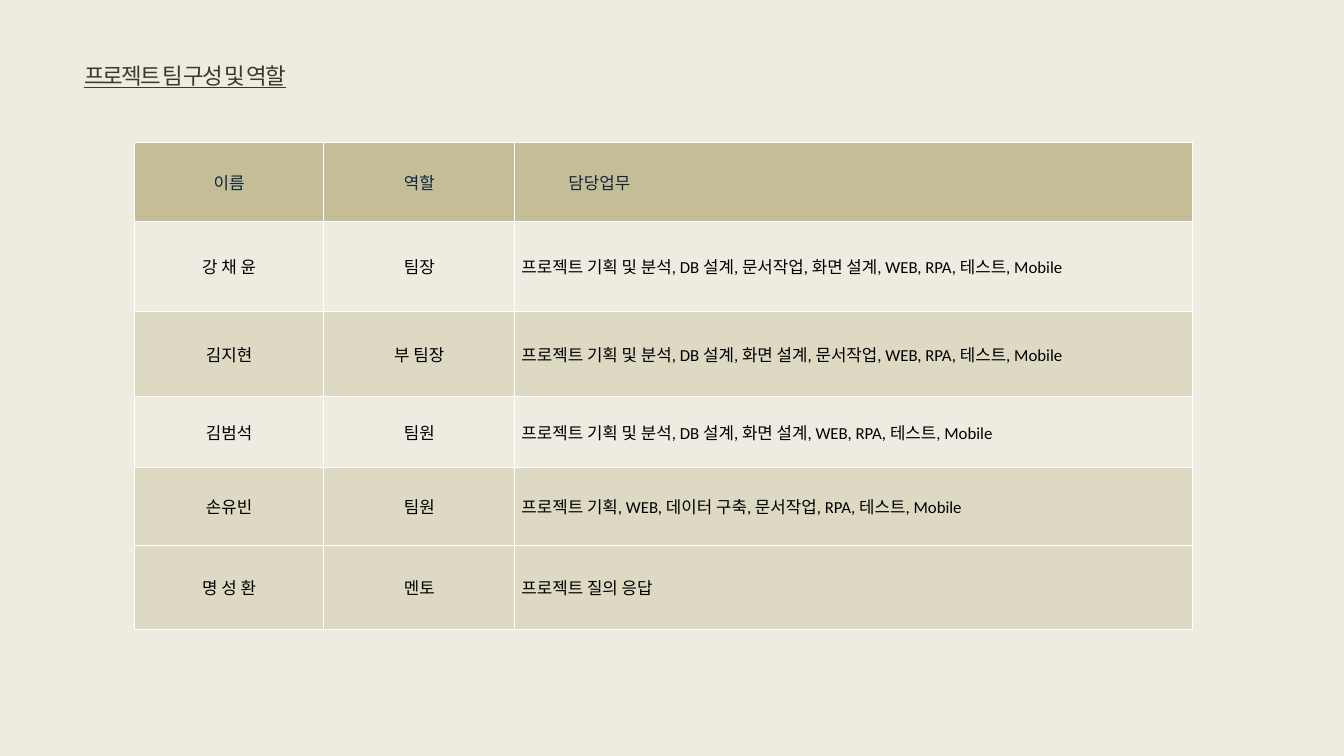
from dataclasses import dataclass

from lxml.etree import SubElement
from pptx import Presentation
from pptx.dml.color import RGBColor
from pptx.enum.text import MSO_ANCHOR, MSO_AUTO_SIZE, PP_ALIGN
from pptx.oxml.ns import qn
from pptx.util import Inches, Pt

TITLE = "프로젝트 팀 구성 및 역할"
TEAM = [
    ("이름", "역할", "담당업무"),
    ("강 채 윤", "팀장", "프로젝트 기획 및 분석, DB 설계, 문서작업, 화면 설계, WEB, RPA, 테스트, Mobile"),
    ("김지현", "부 팀장", "프로젝트 기획 및 분석, DB 설계, 화면 설계, 문서작업, WEB, RPA, 테스트, Mobile"),
    ("김범석", "팀원", "프로젝트 기획 및 분석, DB 설계, 화면 설계, WEB, RPA, 테스트, Mobile"),
    ("손유빈", "팀원", "프로젝트 기획, WEB, 데이터 구축, 문서작업, RPA, 테스트, Mobile"),
    ("명 성 환", "멘토", "프로젝트 질의 응답"),
]


@dataclass(frozen=True)
class Theme:
    paper: str = "EEECE1"
    band: str = "DDD9C3"
    head: str = "C4BD97"
    rule: str = "FFFFFF"
    title: str = "3E372E"
    navy: str = "0F243E"
    ink: str = "000000"
    title_size: int = 24
    body_size: int = 18


T = Theme()
WIDE, HIGH = 20, 11.25
COLS = (2.82, 2.84, 10.09)
ROWS = (1.17, 1.35, 1.26, 1.05, 1.16, 1.26)
FILLS = (T.head, T.paper, T.band, T.paper, T.band, T.band)
ALIGNS = (PP_ALIGN.CENTER, PP_ALIGN.CENTER, PP_ALIGN.LEFT)
HEAD_INDENT = 0.8


def apply(item, values):
    for name, value in values.items():
        setattr(item, name, value)


def style(font, face, size, color, **more):
    apply(font, {"name": face, "size": Pt(size), **more})
    font.color.rgb = RGBColor.from_string(color)


def rule(cell, width=1):
    """Draw the same line on all four sides; call before setting the fill."""
    props = cell._tc.get_or_add_tcPr()
    for side in "LRTB":
        line = SubElement(props, qn(f"a:ln{side}"), w=str(Pt(width)))
        fill = SubElement(line, qn("a:solidFill"))
        SubElement(fill, qn("a:srgbClr"), val=T.rule)


def add_title(slide):
    box = slide.shapes.title
    apply(box, {"left": Inches(WIDE / 16), "top": Inches(0.43),
                "width": Inches(9.68), "height": Inches(1.39)})
    frame = box.text_frame
    apply(frame, {"text": TITLE, "word_wrap": True,
                  "auto_size": MSO_AUTO_SIZE.NONE,
                  "vertical_anchor": MSO_ANCHOR.MIDDLE,
                  "margin_left": 0, "margin_right": 0,
                  "margin_top": 0, "margin_bottom": 0})
    para = frame.paragraphs[0]
    apply(para, {"alignment": PP_ALIGN.LEFT, "line_spacing": 1.0})
    run = para.runs[0]
    style(run.font, "Arial", T.title_size, T.title, underline=True)
    run._r.get_or_add_rPr().set("spc", "-200")


def add_team(slide):
    table = slide.shapes.add_table(
        len(ROWS), len(COLS), Inches(WIDE / 10), Inches(2.12),
        Inches(sum(COLS)), Inches(sum(ROWS))).table
    for col, width in zip(table.columns, COLS):
        col.width = Inches(width)
    for r, (row, height) in enumerate(zip(table.rows, ROWS)):
        row.height = Inches(height)
        for c, cell in enumerate(row.cells):
            apply(cell, {"text": TEAM[r][c], "vertical_anchor": MSO_ANCHOR.MIDDLE})
            rule(cell)
            cell.fill.solid()
            cell.fill.fore_color.rgb = RGBColor.from_string(FILLS[r])
            para = cell.text_frame.paragraphs[0]
            para.alignment = ALIGNS[c]
            style(para.runs[0].font, "Calibri", T.body_size,
                  T.ink if r else T.navy, bold=False)
    table.cell(0, len(COLS) - 1).margin_left = Inches(HEAD_INDENT)


def main():
    deck = Presentation()
    apply(deck, {"slide_width": Inches(WIDE), "slide_height": Inches(HIGH)})
    slide = deck.slides.add_slide(deck.slide_layouts.get_by_name("Title Only"))
    slide.background.fill.solid()
    slide.background.fill.fore_color.rgb = RGBColor.from_string(T.paper)
    add_title(slide)
    add_team(slide)
    deck.save("out.pptx")


if __name__ == "__main__":
    main()
